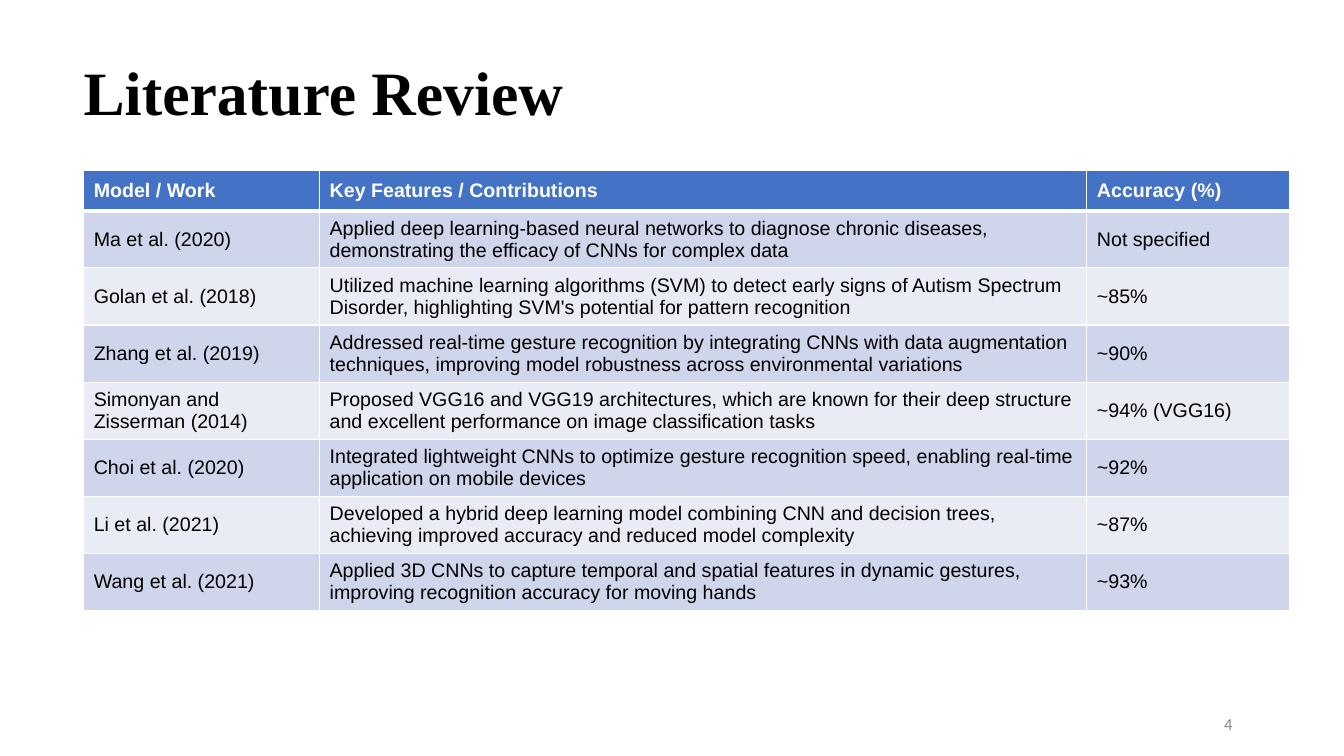
from lxml.etree import SubElement
from pptx import Presentation
from pptx.dml.color import RGBColor
from pptx.enum.text import MSO_ANCHOR as Anchor, MSO_AUTO_SIZE as AutoSize, PP_ALIGN as Align
from pptx.oxml.ns import qn
from pptx.util import Inches, Pt

WIDTH, HEIGHT = 13.33, 7.5
LEFT = 0.83
TITLE_ONLY_LAYOUT = 5

COLORS = {
    "text": "000000",
    "page_number": "888888",
    "header": "4472C4",
    "header_text": "FFFFFF",
    "odd_row": "CFD5EA",
    "even_row": "E9EBF5",
    "border": "FFFFFF",
}

COLUMN_WIDTHS = [2.34, 7.61, 2.01]
HEADER_HEIGHT, ROW_HEIGHT = 0.4, 0.567

HEADINGS = ("Model / Work", "Key Features / Contributions", "Accuracy (%)")
STUDIES = [
    ("Ma et al. (2020)",
     "Applied deep learning-based neural networks to diagnose chronic diseases, "
     "demonstrating the efficacy of CNNs for complex data",
     "Not specified"),
    ("Golan et al. (2018)",
     "Utilized machine learning algorithms (SVM) to detect early signs of Autism Spectrum "
     "Disorder, highlighting SVM's potential for pattern recognition",
     "~85%"),
    ("Zhang et al. (2019)",
     "Addressed real-time gesture recognition by integrating CNNs with data augmentation "
     "techniques, improving model robustness across environmental variations",
     "~90%"),
    ("Simonyan and Zisserman (2014)",
     "Proposed VGG16 and VGG19 architectures, which are known for their deep structure "
     "and excellent performance on image classification tasks",
     "~94% (VGG16)"),
    ("Choi et al. (2020)",
     "Integrated lightweight CNNs to optimize gesture recognition speed, enabling real-time "
     "application on mobile devices",
     "~92%"),
    ("Li et al. (2021)",
     "Developed a hybrid deep learning model combining CNN and decision trees, "
     "achieving improved accuracy and reduced model complexity",
     "~87%"),
    ("Wang et al. (2021)",
     "Applied 3D CNNs to capture temporal and spatial features in dynamic gestures, "
     "improving recognition accuracy for moving hands",
     "~93%"),
]


def color(name):
    return RGBColor.from_string(COLORS[name])


def add_run(paragraph, text, font, size, color_name, bold=False):
    run = paragraph.add_run()
    run.text = text
    run.font.name = font
    run.font.size = Pt(size)
    run.font.bold = bold
    run.font.color.rgb = color(color_name)


def prepare_frame(shape, left, top, width, height):
    """Place a text shape and give it a plain frame without margins."""
    shape.left, shape.top = Inches(left), Inches(top)
    shape.width, shape.height = Inches(width), Inches(height)
    frame = shape.text_frame
    frame.margin_left = frame.margin_right = frame.margin_top = frame.margin_bottom = 0
    frame.word_wrap = True
    frame.auto_size = AutoSize.NONE
    frame.vertical_anchor = Anchor.TOP
    paragraph = frame.paragraphs[0]
    paragraph.alignment = Align.LEFT
    return paragraph


def add_title(slide, text):
    paragraph = prepare_frame(slide.shapes.title, LEFT, 0.53, 8.93, 0.75)
    add_run(paragraph, text, "Times New Roman", 44, "text", bold=True)


def add_page_number(slide, number):
    box = slide.shapes.add_textbox(0, 0, 0, 0)
    paragraph = prepare_frame(box, 12.14, 7.08, 0.23, 0.19)
    add_run(paragraph, str(number), "Calibri", 12, "page_number")


def set_border(cell, side, points):
    properties = cell._tc.get_or_add_tcPr()
    line = SubElement(properties, qn(f"a:ln{side}"), w=str(Pt(points)))
    fill = SubElement(line, qn("a:solidFill"))
    SubElement(fill, qn("a:srgbClr"), val=COLORS["border"])


def format_cell(cell, text, row):
    # Borders come before the fill in the cell properties
    widths = {"L": 1, "R": 1, "T": 3 if row == 1 else 1, "B": 3 if row == 0 else 1}
    for side, points in widths.items():
        set_border(cell, side, points)
    is_header = row == 0
    fill_name = "header" if is_header else "odd_row" if row % 2 else "even_row"
    cell.fill.solid()
    cell.fill.fore_color.rgb = color(fill_name)
    cell.vertical_anchor = Anchor.MIDDLE
    text_color = "header_text" if is_header else "text"
    add_run(cell.text_frame.paragraphs[0], text, "Arial", 14, text_color, bold=is_header)


def add_study_table(slide):
    records = [HEADINGS, *STUDIES]
    table_height = HEADER_HEIGHT + ROW_HEIGHT * len(STUDIES)
    table = slide.shapes.add_table(
        len(records), len(HEADINGS), Inches(LEFT), Inches(1.69),
        Inches(sum(COLUMN_WIDTHS)), Inches(table_height)).table
    for column, width in zip(table.columns, COLUMN_WIDTHS):
        column.width = Inches(width)
    for row, record in enumerate(records):
        table.rows[row].height = Inches(ROW_HEIGHT if row else HEADER_HEIGHT)
        for column, text in enumerate(record):
            format_cell(table.cell(row, column), text, row)


def main():
    presentation = Presentation()
    presentation.slide_width, presentation.slide_height = Inches(WIDTH), Inches(HEIGHT)
    slide = presentation.slides.add_slide(presentation.slide_layouts[TITLE_ONLY_LAYOUT])
    add_page_number(slide, 4)
    add_title(slide, "Literature Review")
    add_study_table(slide)
    presentation.save("out.pptx")


if __name__ == "__main__":
    main()
